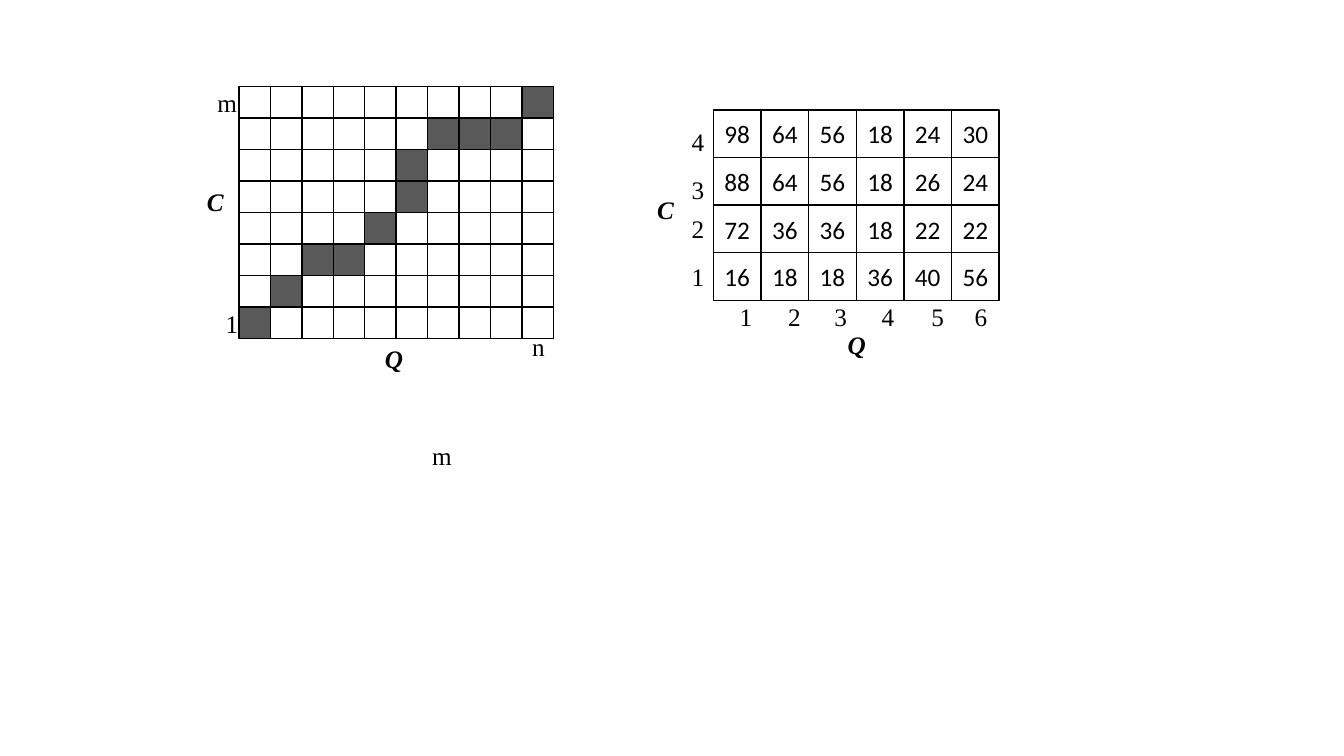
from pptx import Presentation
from pptx.dml.color import RGBColor
from pptx.enum.shapes import MSO_SHAPE as Shape
from pptx.enum.text import MSO_ANCHOR as Anchor, PP_ALIGN as Align
from pptx.util import Cm, Pt

BLACK, WHITE, GREY = "000000", "FFFFFF", "595959"


def write(box, text, font, emphasis=False):
    frame = box.text_frame
    frame.word_wrap = True
    frame.vertical_anchor = Anchor.MIDDLE
    paragraph = frame.paragraphs[0]
    paragraph.text = text
    paragraph.alignment = Align.CENTER
    run_font = paragraph.runs[0].font
    run_font.name = font
    run_font.size = Pt(18)
    run_font.bold = run_font.italic = emphasis
    run_font.color.rgb = RGBColor.from_string(BLACK)


def add_cell(left, top, width, height, color=None):
    cell = slide.shapes.add_shape(Shape.RECTANGLE, Cm(left), Cm(top), Cm(width), Cm(height))
    cell.shadow.inherit = False
    cell.line.color.rgb = RGBColor.from_string(BLACK)
    cell.line.width = Pt(1)
    if color:
        cell.fill.solid()
        cell.fill.fore_color.rgb = RGBColor.from_string(color)
    else:
        cell.fill.background()
    return cell


deck = Presentation()
deck.slide_width = Cm(33.87)
deck.slide_height = Cm(19.05)
slide = deck.slides.add_slide(deck.slide_layouts[6])

warping_path = [
    ".........#",
    "......###.",
    ".....#....",
    ".....#....",
    "....#.....",
    "..##......",
    ".#........",
    "#.........",
]
step_width = 7.93 / 10
step_height = 6.35 / 8
for row, steps in enumerate(warping_path):
    for column, step in enumerate(steps):
        add_cell(6.02 + column * step_width, 2.18 + row * step_height,
                 step_width, step_height, GREY if step == "#" else None)

costs = [
    [98, 64, 56, 18, 24, 30],
    [88, 64, 56, 18, 26, 24],
    [72, 36, 36, 18, 22, 22],
    [16, 18, 18, 36, 40, 56],
]
cost_size = 1.2
for row, row_costs in enumerate(costs):
    for column, cost in enumerate(row_costs):
        cell = add_cell(17.98 + column * cost_size, 2.77 + row * cost_size,
                        cost_size, cost_size, WHITE)
        write(cell, str(cost), "Calibri")

labels = [
    ("Q", 8.94, 8.53, 1.98, 0.99),
    ("C", 4.83, 4.57, 1.19, 0.99),
    ("n", 13.16, 8.33, 0.79, 0.79),
    ("1", 5.44, 7.75, 0.58, 0.79),
    ("m", 5.23, 2.18, 0.79, 0.79),
    ("m", 10.64, 11.07, 0.79, 0.79),
    ("Q", 20.6, 8.18, 1.98, 0.99),
    ("C", 16.18, 4.78, 1.19, 0.99),
]
for number, left in enumerate([18.39, 19.61, 20.78, 21.97, 23.22, 24.31], start=1):
    labels.append((str(number), left, 7.57, 0.56, 0.79))
for number, top in enumerate([6.58, 5.36, 4.37, 3.18], start=1):
    labels.append((str(number), 17.18, top, 0.58, 0.79))

for text, left, top, width, height in labels:
    label = slide.shapes.add_textbox(Cm(left), Cm(top), Cm(width), Cm(height))
    write(label, text, "Times New Roman", emphasis=text in "QC")

deck.save("out.pptx")
